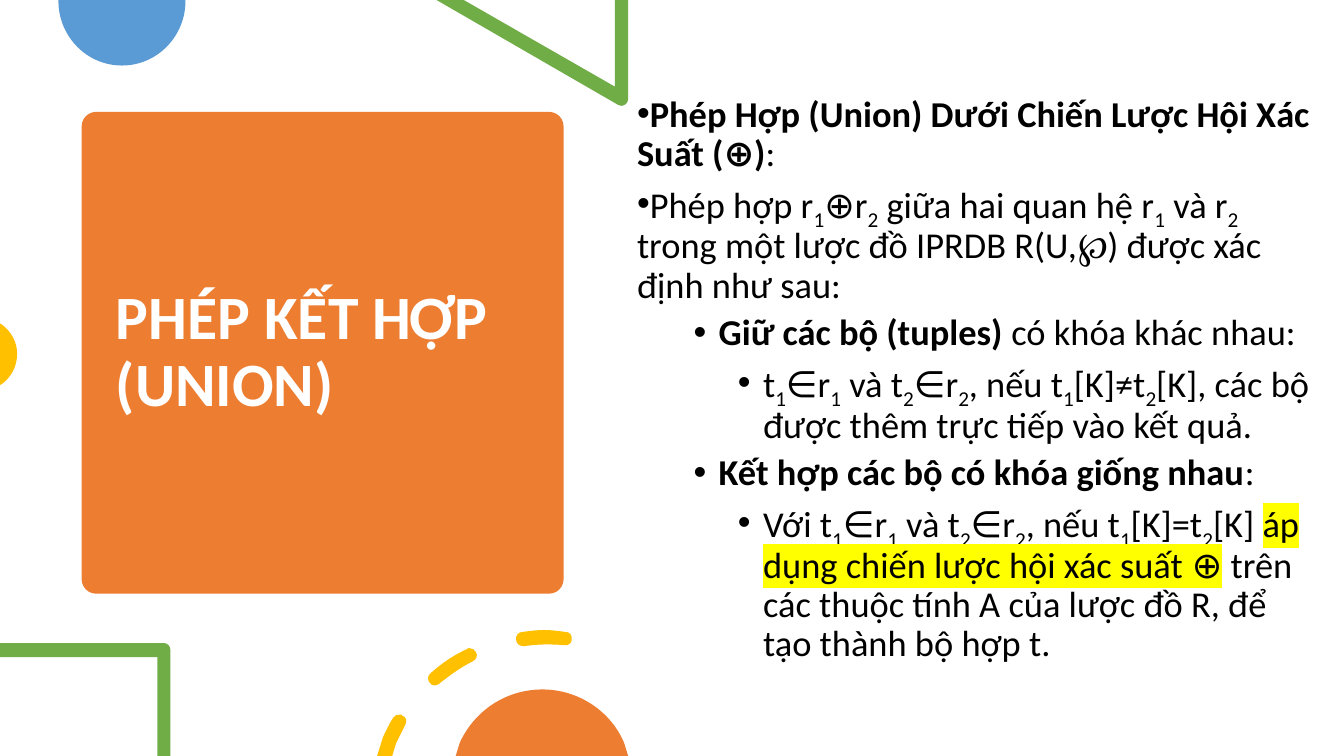
from lxml.etree import SubElement
from pptx import Presentation
from pptx.dml.color import RGBColor
from pptx.enum.shapes import MSO_SHAPE
from pptx.enum.text import MSO_ANCHOR, MSO_AUTO_SIZE, PP_ALIGN
from pptx.oxml.ns import qn
from pptx.util import Inches, Pt

ORANGE = RGBColor(0xED, 0x7D, 0x31)
BLUE = RGBColor(0x5B, 0x9B, 0xD5)
GREEN = RGBColor(0x70, 0xAD, 0x47)
GOLD = RGBColor(0xFF, 0xC0, 0x00)
WHITE = RGBColor(0xFF, 0xFF, 0xFF)
BLACK = RGBColor(0x00, 0x00, 0x00)
YELLOW = RGBColor(0xFF, 0xFF, 0x00)


def draw(color, *loops):
    pen = None
    for loop in loops:
        start, *points = [(Inches(step[i]), Inches(step[i + 1]))
                          for step in loop for i in range(0, len(step), 2)]
        if pen is None:
            pen = shapes.build_freeform(*start, scale=1.0)
        else:
            pen.move_to(*start)
        pen.add_line_segments(points, close=True)
    form = pen.convert_to_shape()
    form.shadow.inherit = False
    form.fill.solid()
    form.fill.fore_color.rgb = color
    form.line.fill.background()
    lines = iter(list(form._element.iter(qn("a:lnTo"))))
    for step in (step for loop in loops for step in loop[1:]):
        curve = next(lines)
        if len(step) == 6:
            curve.tag = qn("a:cubicBezTo")
            for line in (next(lines), next(lines)):
                curve.append(line[0])
                line.getparent().remove(line)


deck = Presentation()
deck.slide_width, deck.slide_height = Inches(13.33), Inches(7.5)
slide = deck.slides.add_slide(deck.slide_layouts[5])
shapes = slide.shapes

card = shapes.add_shape(MSO_SHAPE.ROUNDED_RECTANGLE, Inches(0.81), Inches(1.11), Inches(4.78), Inches(4.78))
card.adjustments[0] = 0.03
card.shadow.inherit = False
card.fill.solid()
card.fill.fore_color.rgb = ORANGE
card.line.fill.background()

title = shapes.title
shapes._spTree.append(title._element)
title.left, title.top, title.width, title.height = Inches(1.05), Inches(1.22), Inches(4.31), Inches(4.56)
frame = title.text_frame
frame.text = "PHÉP KẾT HỢP (UNION)"
frame.word_wrap = True
frame.auto_size = MSO_AUTO_SIZE.NONE
frame.vertical_anchor = MSO_ANCHOR.MIDDLE
head = frame.paragraphs[0]
head.alignment = PP_ALIGN.LEFT
head.line_spacing = 0.9
head.space_after = Pt(6)
head.font.name = "Calibri"
head.font.size = Pt(44)
head.font.bold = True
head.font.color.rgb = WHITE

draw(BLUE, [(1.84, 0), (0.58, 0), (0.58, 0.01), (0.58, 0.36, 0.86, 0.65, 1.21, 0.65),
            (1.56, 0.65, 1.84, 0.36, 1.84, 0.01)])
draw(GREEN, [(6.23, 0), (6.1, 0), (6.1, 0.86), (4.6, 0), (4.33, 0), (6.13, 1.04),
             (6.14, 1.05, 6.15, 1.05, 6.16, 1.05), (6.2, 1.05, 6.23, 1.02, 6.23, 0.98)])
draw(GOLD, [(0, 3.21), (0, 3.82), (0.02, 3.81), (0.11, 3.74, 0.17, 3.64, 0.17, 3.51),
            (0.17, 3.39, 0.11, 3.29, 0.02, 3.22)])

INDENTS = (0, 0.81, 1.25)
MARKS = {"_": "sub", "*": "bold", "^": "mark"}
LINES = [
    (0, "*Phép Hợp (Union) Dưới Chiến Lược Hội Xác Suất (⊕)|:"),
    (0, "Phép hợp r|_1|⊕r|_2| giữa hai quan hệ r|_1| và r|_2|"
        " trong một lược đồ IPRDB R(U,℘) được xác định như sau:"),
    (1, "*Giữ các bộ (tuples) |có khóa khác nhau:"),
    (2, "t|_1|∈r|_1| và t|_2|∈r|_2|, nếu t|_1|[K]≠t|_2|[K], các bộ được thêm trực tiếp vào kết quả."),
    (1, "*Kết hợp các bộ có khóa giống nhau|:"),
    (2, "Với t|_1|∈r|_1| và t|_2|∈r|_2|, nếu t|_1|[K]=t|_2|[K] |"
        "^áp dụng chiến lược hội xác suất ⊕| trên các thuộc tính A của lược đồ R, để tạo thành bộ hợp t."),
]
body = shapes.add_textbox(Inches(6.22), Inches(0.9), Inches(6.98), Inches(5.95)).text_frame
body.word_wrap = True
for i, (level, line) in enumerate(LINES):
    para = body.add_paragraph() if i else body.paragraphs[0]
    para.level = level
    para.line_spacing = 0.9
    para.space_after = Pt(6)
    props = para._p.get_or_add_pPr()
    props.set("marL", str(Inches(INDENTS[level])))
    props.set("indent", str(Inches(-0.25)))
    SubElement(props, qn("a:buFont")).set("typeface", "Arial")
    SubElement(props, qn("a:buChar")).set("char", "•")
    para.font.name = "Calibri"
    para.font.size = Pt(26)
    para.font.color.rgb = BLACK
    for part in line.split("|"):
        style = MARKS.get(part[0])
        run = para.add_run()
        run.text = part[1:] if style else part
        if style == "bold":
            run.font.bold = True
        elif style == "sub":
            run._r.get_or_add_rPr().set("baseline", "-25000")
        elif style == "mark":
            light = SubElement(run._r.get_or_add_rPr(), qn("a:highlight"))
            SubElement(light, qn("a:srgbClr")).set("val", str(YELLOW))

draw(GREEN, [(1.63, 6.38), (0, 6.38), (0, 6.52), (1.56, 6.52), (1.56, 7.5), (1.69, 7.5),
             (1.69, 6.45), (1.69, 6.41, 1.66, 6.38, 1.63, 6.38)])
draw(GOLD,
     [(3.97, 7.09), (3.94, 7.08, 3.92, 7.1, 3.9, 7.12), (3.86, 7.18, 3.83, 7.25, 3.8, 7.31),
      (3.74, 7.5), (3.89, 7.5), (3.93, 7.37), (3.96, 7.31, 3.99, 7.25, 4.02, 7.19),
      (4.04, 7.16, 4.03, 7.11, 3.99, 7.1), (3.99, 7.09, 3.98, 7.09, 3.97, 7.09)],
     [(4.65, 6.43), (4.65, 6.43, 4.64, 6.43, 4.63, 6.44), (4.5, 6.5, 4.38, 6.58, 4.27, 6.68),
      (4.24, 6.7, 4.24, 6.75, 4.26, 6.77), (4.27, 6.79, 4.29, 6.8, 4.31, 6.8),
      (4.33, 6.8, 4.35, 6.79, 4.36, 6.78), (4.46, 6.7, 4.57, 6.62, 4.69, 6.56),
      (4.73, 6.54, 4.74, 6.5, 4.72, 6.47), (4.71, 6.44, 4.68, 6.43, 4.65, 6.43)],
     [(5.4, 6.25), (5.32, 6.25, 5.25, 6.26, 5.18, 6.27), (5.14, 6.27, 5.11, 6.31, 5.12, 6.35),
      (5.12, 6.38, 5.15, 6.41, 5.19, 6.41), (5.19, 6.41, 5.19, 6.41, 5.2, 6.41),
      (5.33, 6.39, 5.46, 6.39, 5.6, 6.4), (5.63, 6.41, 5.67, 6.38, 5.67, 6.35),
      (5.68, 6.31, 5.65, 6.27, 5.62, 6.27), (5.62, 6.27, 5.61, 6.27, 5.61, 6.27),
      (5.54, 6.26, 5.47, 6.25, 5.4, 6.25)])
draw(ORANGE, [(5.38, 6.84), (5.01, 6.84, 4.7, 7.06, 4.56, 7.37), (4.52, 7.5), (6.23, 7.5),
              (6.19, 7.37), (6.06, 7.06, 5.74, 6.84, 5.38, 6.84)])

deck.save("out.pptx")
